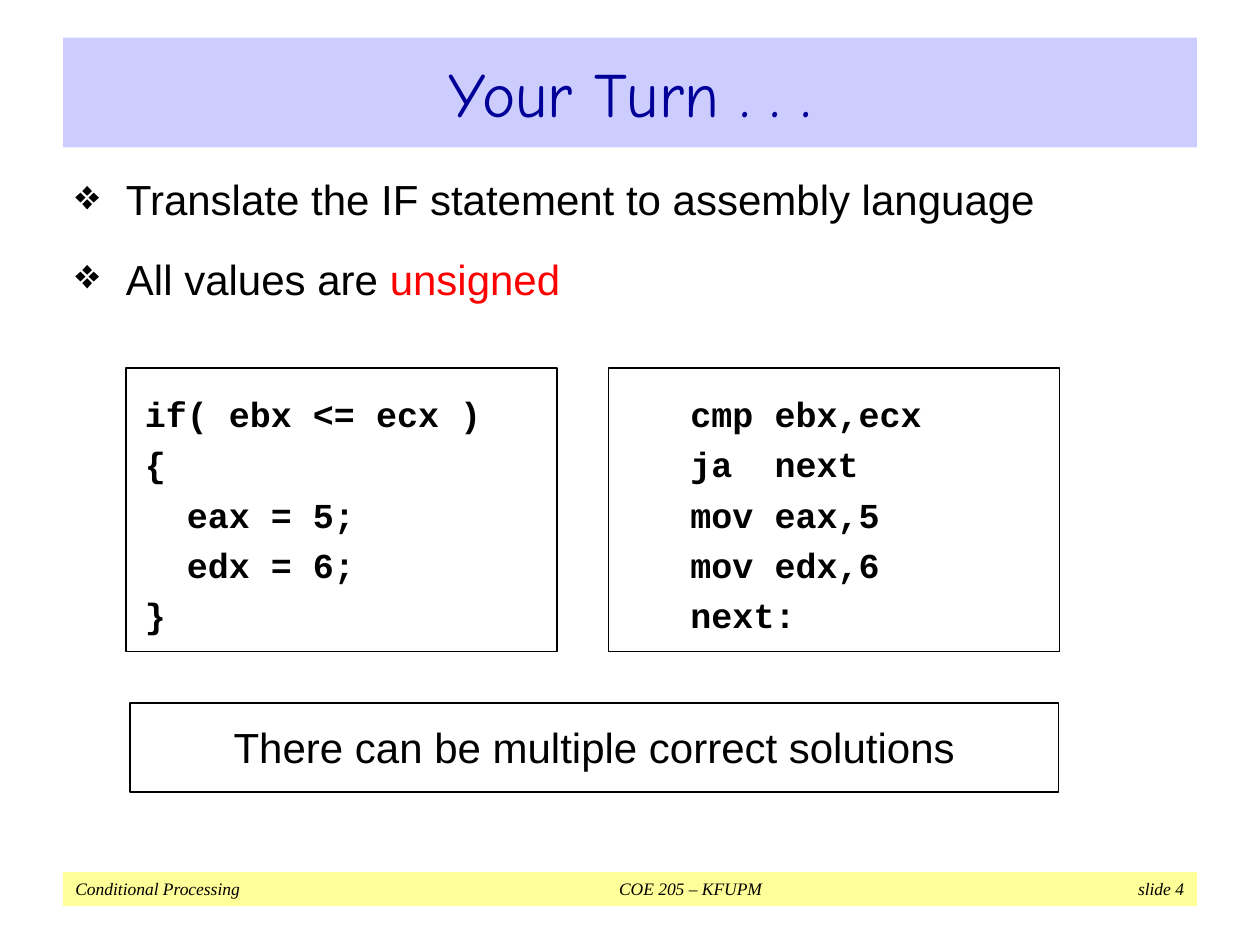
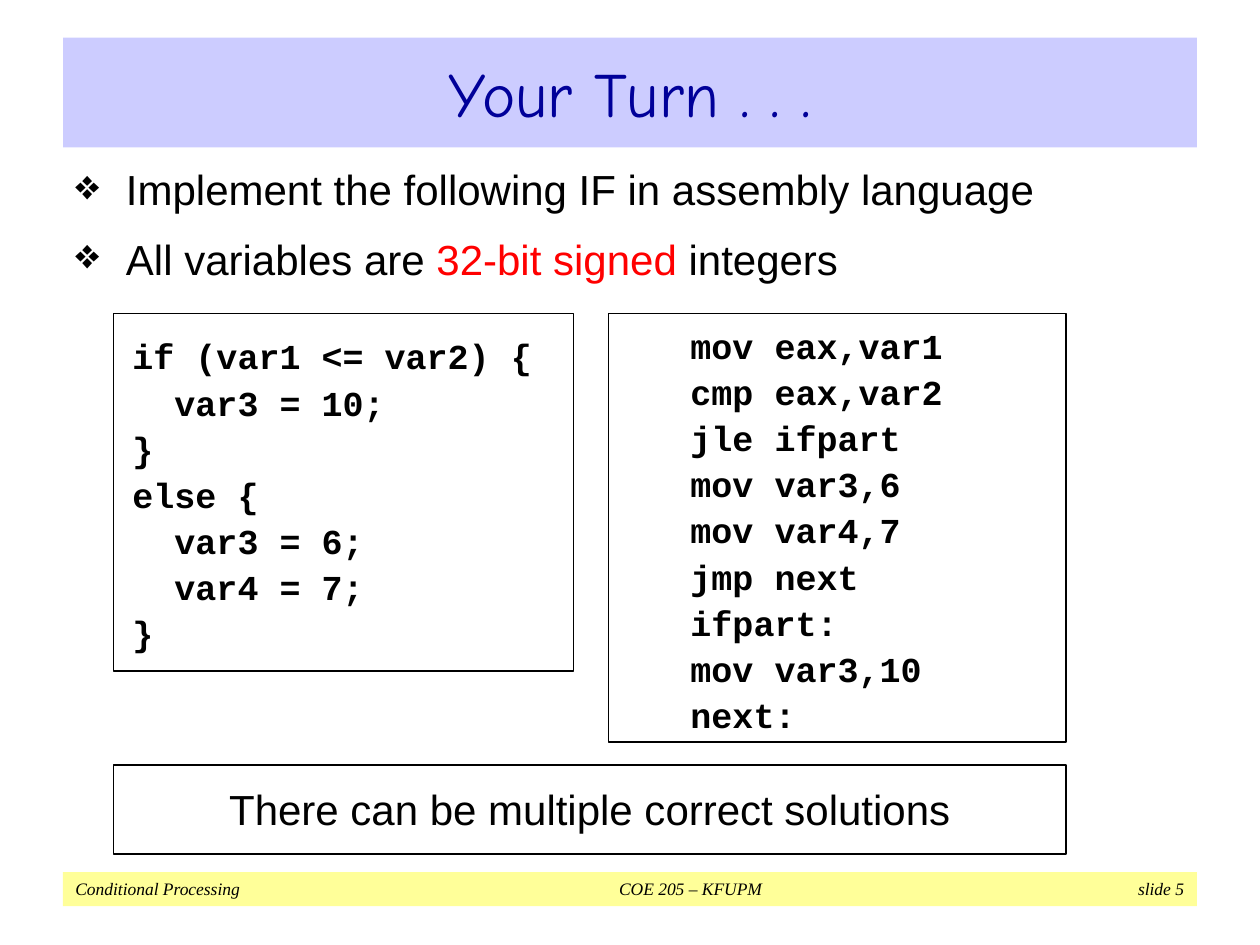
import pptx
import pptx.util
import pptx.dml.color
import pptx.enum.shapes
import pptx.enum.text
import pptx.oxml

Cm, Pt = pptx.util.Cm, pptx.util.Pt
RGBColor = pptx.dml.color.RGBColor
ALIGN = pptx.enum.text.PP_ALIGN
ANCHOR = pptx.enum.text.MSO_ANCHOR

# Colours
BLACK = RGBColor(0x00, 0x00, 0x00)
RED = RGBColor(0xFF, 0x00, 0x00)
NAVY = RGBColor(0x00, 0x00, 0x99)
LAVENDER = RGBColor(0xCC, 0xCC, 0xFF)
YELLOW = RGBColor(0xFF, 0xFF, 0x99)

# Fonts
TITLE_FONT = {"name": "Comic Neue", "size": Pt(36), "bold": False}
BODY_FONT = {"name": "Arial", "size": Pt(24)}
CODE_FONT = {"name": "Courier New", "size": Pt(20), "bold": True}
FOOTER_FONT = {"name": "Times New Roman", "size": Pt(10), "italic": True}

# Text frames
TITLE_FRAME = {"vertical_anchor": ANCHOR.MIDDLE, "word_wrap": True,
               "auto_size": pptx.enum.text.MSO_AUTO_SIZE.NONE}
FOOTER_FRAME = {"vertical_anchor": ANCHOR.TOP, "word_wrap": True}
CODE_FRAME = {"vertical_anchor": ANCHOR.MIDDLE, "word_wrap": True,
              "margin_left": Cm(0.38), "margin_right": Cm(0.38),
              "margin_top": 0, "margin_bottom": 0}
NOTE_FRAME = {"vertical_anchor": ANCHOR.TOP, "word_wrap": True,
              "margin_top": Cm(0.38), "margin_bottom": Cm(0.38)}

FOOTER_TABS = [(Cm(12.4), "ctr"), (Cm(22.35), "r")]
BULLET_INDENT = Cm(1.02)
SOLUTION_INDENT = Cm(1.27)
NAMESPACE = 'xmlns:a="http://schemas.openxmlformats.org/drawingml/2006/main"'

# Slide contents; places are left, top, width, height in cm
exercises = [
    {
        "number": 4,
        "bullets": [
            [("Translate the IF statement to assembly language", BLACK)],
            [("All values are ", BLACK), ("unsigned", RED)],
        ],
        "bullet_place": (1.27, 3.18, 22.86, 3.63),
        "bullet_spacing": 1.2,
        "code_spacing": 1.2,
        "source_place": (2.54, 7.42, 8.69, 5.72),
        "source": ["if( ebx <= ecx )", "{", "  eax = 5;", "  edx = 6;", "}"],
        "solution_place": (12.27, 7.42, 9.09, 5.72),
        "solution": ["cmp ebx,ecx", "ja  next", "mov eax,5", "mov edx,6", "next:"],
        "note_place": (2.62, 14.17, 18.72, 1.8),
    },
    {
        "number": 5,
        "bullets": [
            [("Implement the following IF in assembly language", BLACK)],
            [("All variables are ", BLACK), ("32-bit signed", RED),
             (" integers", BLACK)],
        ],
        "bullet_place": (1.27, 3.18, 22.86, 3.15),
        "bullet_spacing": 1.0,
        "code_spacing": 1.1,
        "source_place": (2.29, 6.32, 9.27, 7.21),
        "source": ["if (var1 <= var2) {", "  var3 = 10;", "}", "else {",
                   "  var3 = 6;", "  var4 = 7;", "}"],
        "solution_place": (12.27, 6.32, 9.22, 8.64),
        "solution": ["mov eax,var1", "cmp eax,var2", "jle ifpart", "mov var3,6",
                     "mov var4,7", "jmp next", "ifpart:", "mov var3,10", "next:"],
        "note_place": (2.29, 15.42, 19.2, 1.8),
    },
]


def add_box(slide, place, frame_format, fill=None):
    """Add a rectangle: filled without outline, or outlined without fill."""
    shape = slide.shapes.add_shape(pptx.enum.shapes.MSO_SHAPE.RECTANGLE,
                                   *[Cm(length) for length in place])
    shape.shadow.inherit = False
    if fill is None:
        shape.fill.background()
        shape.line.color.rgb = BLACK
        shape.line.width = Pt(0.75)
    else:
        shape.fill.solid()
        shape.fill.fore_color.rgb = fill
        shape.line.fill.background()
    for name, value in frame_format.items():
        setattr(shape.text_frame, name, value)
    return shape.text_frame


def write_paragraphs(frame, lines, font_format, alignment=ALIGN.LEFT, spacing=1.0):
    """Write each line, a list of (text, colour) runs, as one paragraph."""
    for index, line in enumerate(lines):
        paragraph = frame.add_paragraph() if index else frame.paragraphs[0]
        paragraph.alignment = alignment
        paragraph.line_spacing = spacing
        for text, color in line:
            run = paragraph.add_run()
            run.text = text
            run.font.color.rgb = color
            for name, value in font_format.items():
                setattr(run.font, name, value)
    return frame.paragraphs


presentation = pptx.Presentation()
presentation.slide_width = Cm(25.4)
presentation.slide_height = Cm(19.05)

for exercise in exercises:
    slide = presentation.slides.add_slide(presentation.slide_layouts[5])

    # Title band
    title = slide.shapes.title
    title_place = {"left": 1.27, "top": 0.76, "width": 22.86, "height": 2.21}
    for name, value in title_place.items():
        setattr(title, name, Cm(value))
    title.fill.solid()
    title.fill.fore_color.rgb = LAVENDER
    for name, value in TITLE_FRAME.items():
        setattr(title.text_frame, name, value)
    write_paragraphs(title.text_frame, [[("Your Turn . . .", NAVY)]],
                     TITLE_FONT, ALIGN.CENTER)

    # Footer band with centred and right-aligned tab stops
    footer = add_box(slide, (1.27, 17.58, 22.86, 0.69), FOOTER_FRAME, YELLOW)
    footer_text = f"Conditional Processing\tCOE 205 – KFUPM\tslide {exercise['number']}"
    paragraph = write_paragraphs(footer, [[(footer_text, BLACK)]], FOOTER_FONT)[0]
    stops = "".join(f'<a:tab pos="{position}" algn="{side}"/>'
                    for position, side in FOOTER_TABS)
    paragraph._p.get_or_add_pPr().append(
        pptx.oxml.parse_xml(f"<a:tabLst {NAMESPACE}>{stops}</a:tabLst>"))

    # Bulleted task
    task = slide.shapes.add_textbox(
        *[Cm(length) for length in exercise["bullet_place"]]).text_frame
    task.word_wrap = True
    bullets = write_paragraphs(task, exercise["bullets"], BODY_FONT,
                               spacing=exercise["bullet_spacing"])
    for index, paragraph in enumerate(bullets):
        if index:
            paragraph.space_before = Pt(11)
        properties = paragraph._p.get_or_add_pPr()
        properties.set("marL", str(BULLET_INDENT))
        properties.set("indent", str(-BULLET_INDENT))
        properties.append(pptx.oxml.parse_xml(f'<a:buChar {NAMESPACE} char="❖"/>'))

    # IF statement and its assembly solution
    for part, indent in [("solution", SOLUTION_INDENT), ("source", 0)]:
        code = add_box(slide, exercise[f"{part}_place"], CODE_FRAME)
        lines = [[(line, BLACK)] for line in exercise[part]]
        for paragraph in write_paragraphs(code, lines, CODE_FONT,
                                          spacing=exercise["code_spacing"]):
            paragraph._p.get_or_add_pPr().set("marL", str(int(indent)))

    # Closing note
    note = add_box(slide, exercise["note_place"], NOTE_FRAME)
    write_paragraphs(note, [[("There can be multiple correct solutions", BLACK)]],
                     BODY_FONT, ALIGN.CENTER)

presentation.save("out.pptx")
